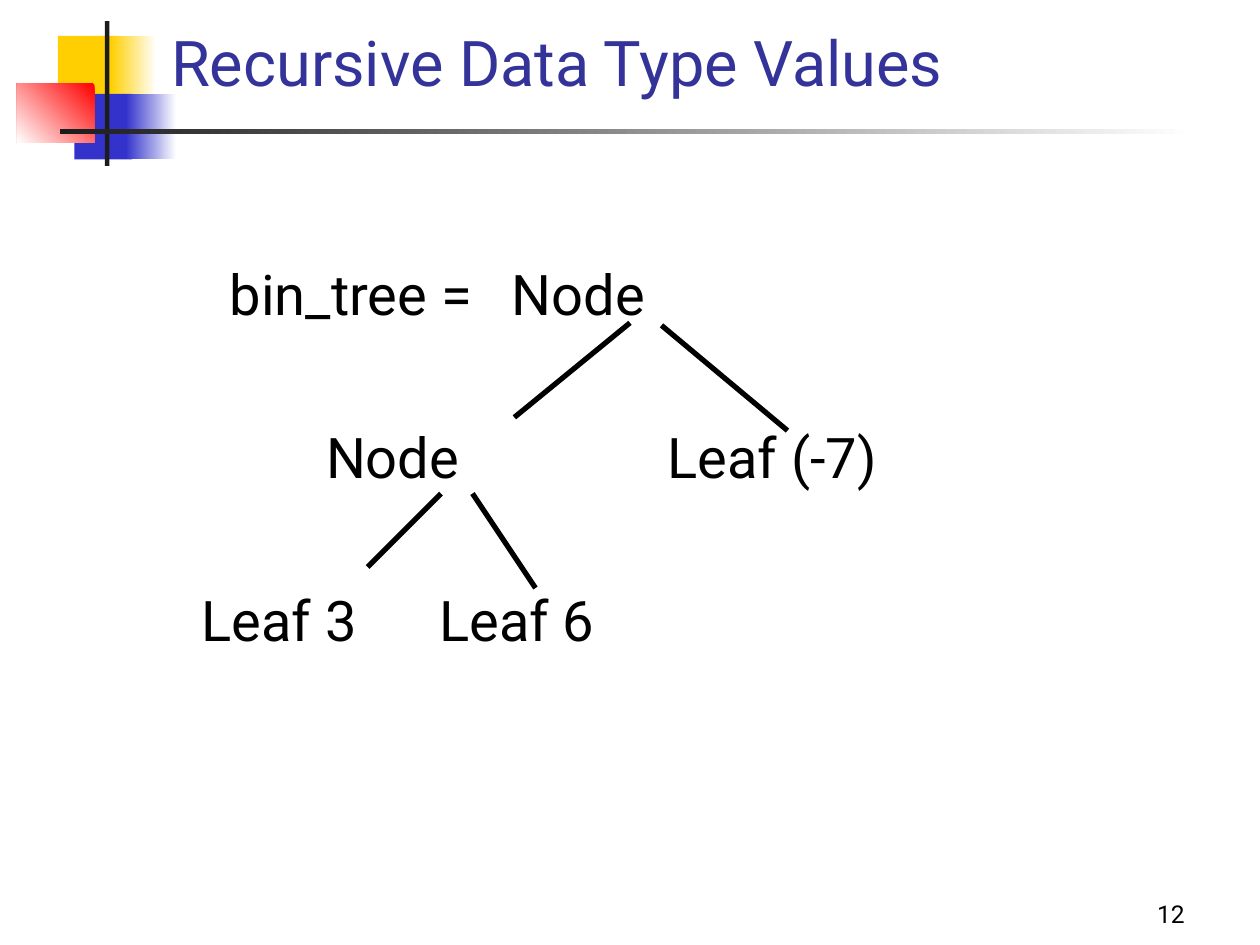
from pptx import Presentation
from pptx import util as u
from pptx.dml.color import RGBColor
from pptx.enum import shapes, text
from pptx.oxml.ns import qn
from lxml import etree

COLORS = {
    "yellow": "FFCF01", "blue": "3333CC", "red": "FF0000", "white": "FFFFFF",
    "dark": "1C1C1C", "title": "333399", "ink": "000000",
}


class TreeSlide:
    """Slide on a grid of 40 columns by 30 rows."""

    font = "Roboto"
    columns, rows = 40, 30

    def __init__(self, deck):
        self.slide = deck.slides.add_slide(deck.slide_layouts[6])
        self.column = deck.slide_width / self.columns
        self.row = deck.slide_height / self.rows

    def at(self, x, y):
        return round(x * self.column), round(y * self.row)

    def color(self, name):
        return RGBColor.from_string(COLORS[name])

    def block(self, x, y, width, height, *fades, angle=180):
        """Rectangle in one colour, or fading from one colour to another."""
        block = self.slide.shapes.add_shape(
            shapes.MSO_SHAPE.RECTANGLE, *self.at(x, y), *self.at(width, height))
        block.shadow.inherit = False
        block.line.fill.background()
        if len(fades) == 1:
            block.fill.solid()
            block.fill.fore_color.rgb = self.color(fades[0])
        else:
            block.fill.gradient()
            block.fill.gradient_angle = angle
            for stop, name in zip(block.fill.gradient_stops, fades):
                stop.color.rgb = self.color(name)

    def words(self, wording, x, y, width, height, size, color="ink",
              align=text.PP_ALIGN.LEFT, **frame_format):
        frame = self.slide.shapes.add_textbox(
            *self.at(x, y), *self.at(width, height)).text_frame
        frame_style = {"word_wrap": True, **frame_format}
        for name, value in frame_style.items():
            setattr(frame, name, value)
        paragraph = frame.paragraphs[0]
        paragraph.alignment = align
        run = paragraph.add_run()
        run.text = wording
        for name, value in {"name": self.font, "size": u.Pt(size)}.items():
            setattr(run.font, name, value)
        run.font.color.rgb = self.color(color)

    def label(self, wording, x, middle, width):
        """Tree label that starts at x, centred on a row."""
        height = 2.4
        self.words(wording, x, middle - height / 2, width, height, 32,
                   margin_left=0, margin_right=0, margin_top=0,
                   margin_bottom=0, vertical_anchor=text.MSO_ANCHOR.MIDDLE)

    def branch(self, start, end):
        branch = self.slide.shapes.add_connector(
            shapes.MSO_CONNECTOR.STRAIGHT, *self.at(*start), *self.at(*end))
        branch.line.width = u.Pt(3)
        branch.line.color.rgb = self.color("ink")
        etree.SubElement(branch._element.spPr, qn("a:effectLst"))


def main():
    deck = Presentation()
    deck.slide_width, deck.slide_height = u.Inches(10), u.Inches(7.5)
    page = TreeSlide(deck)

    # Corner ornament and title rule
    page.block(1.84, 1.14, 1.92, 2.08, "yellow")
    page.block(3.52, 1.14, 1.44, 2.08, "white", "yellow")
    page.block(2.36, 2.98, 1.84, 2.08, "blue")
    page.block(4, 2.98, 1.6, 2.08, "white", "blue")
    page.block(0.54, 2.66, 2.46, 1.86, "red", "white", angle=225)
    page.block(3.33, 0.67, 0.14, 4.6, "dark")
    page.block(1.92, 4.11, 36, 0.14, "white", "dark")

    # Title and page number
    bottom = text.MSO_ANCHOR.BOTTOM
    page.words("Recursive Data Type Values", 5.04, 0.72, 34.08, 2.64, 36,
               "title", vertical_anchor=bottom)
    page.words("12", 29.68, 27.68, 8.32, 2, 14,
               align=text.PP_ALIGN.RIGHT, vertical_anchor=bottom)

    # Tree labels, one list per level
    levels = [
        [("bin_tree =", 7.3, 8.5), ("Node", 16.25, 5)],
        [("Node", 10.35, 5), ("Leaf (-7)", 21.2, 8)],
        [("Leaf 3", 6.4, 6), ("Leaf 6", 13.95, 6)],
    ]
    first_level, level_gap = 9.3, 5.17
    for depth, labels in enumerate(levels):
        for wording, x, width in labels:
            page.label(wording, x, first_level + depth * level_gap, width)

    # Branches
    for start, end in [
        ((20, 10.25), (16.33, 13.25)),
        ((21, 10.33), (25, 13.67)),
        ((14, 15.67), (11.67, 18)),
        ((15, 15.67), (17, 18.67)),
    ]:
        page.branch(start, end)

    deck.save("out.pptx")


if __name__ == "__main__":
    main()
